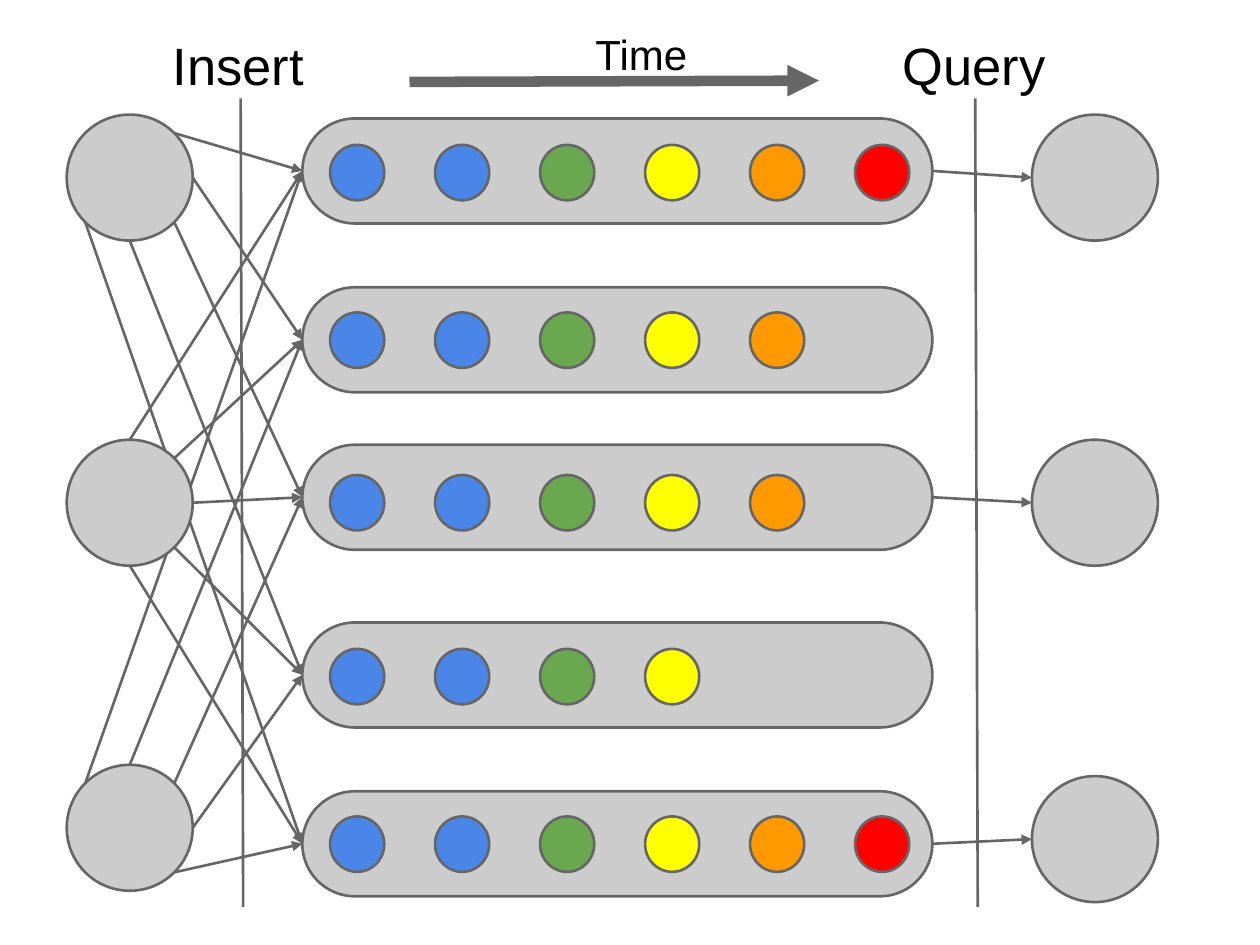
from dataclasses import dataclass
from math import cos, radians, sin

from lxml import etree
from pptx import Presentation
from pptx.dml.color import RGBColor
from pptx.enum.shapes import MSO_CONNECTOR, MSO_SHAPE
from pptx.enum.text import MSO_ANCHOR, MSO_AUTO_SIZE, PP_ALIGN
from pptx.oxml.ns import qn
from pptx.util import Inches, Pt

OVAL = MSO_SHAPE.OVAL
PILL = MSO_SHAPE.ROUNDED_RECTANGLE
STRAIGHT = MSO_CONNECTOR.STRAIGHT
CENTER = PP_ALIGN.CENTER
TOP = MSO_ANCHOR.TOP
GROW = MSO_AUTO_SIZE.SHAPE_TO_FIT_TEXT

WIDTH, HEIGHT = 10, 7.5
COLUMN = WIDTH / 12

QUEUE_LEFT, QUEUE_WIDTH, QUEUE_HEIGHT = 2.4, 6 * COLUMN, COLUMN
QUEUE_TOPS = (0.94, 2.28, 3.53, 4.94, 6.28)
ITEM_TOPS = (1.15, 2.48, 3.77, 5.15, 6.48)
ITEM_COUNTS = (6, 5, 5, 4, 6)
ITEM_LEFT, ITEM_WIDTH, ITEM_HEIGHT = 2.62, 0.43, 0.44

NODE = 1
WRITER_LEFT, WRITER_TOPS = 0.53, (0.91, 3.49, 6.07)
READER_LEFT = 8.19
READERS = ((0, 0.91), (2, 3.49), (4, 6.16))  # queue row, top of the reader


@dataclass(frozen=True)
class Theme:
    """Colours, font and sizes of the slide."""
    outline: str = "666666"
    body: str = "CCCCCC"
    text: str = "000000"
    items: tuple = ("4A86E8", "4A86E8", "6AA84F", "FFFF00", "FF9900", "FF0000")
    font: str = "Arial"
    heading: int = 30
    caption: int = 24
    thin: float = 1.5
    thick: float = 6


THEME = Theme()


def rgb(value):
    """Turn a hex string into a colour."""
    return RGBColor.from_string(value)


def apply_format(target, values):
    """Set each named attribute on the target."""
    for name, value in values.items():
        setattr(target, name, value)


def add_body(slide, kind, left, top, width, height, fill):
    """Draw a filled, outlined preset shape and return it."""
    body = slide.shapes.add_shape(
        kind, Inches(left), Inches(top), Inches(width), Inches(height))
    body.shadow.inherit = False
    body.fill.solid()
    body.fill.fore_color.rgb = rgb(fill)
    body.line.color.rgb = rgb(THEME.outline)
    body.line.width = Pt(THEME.thin)
    return body


def add_line(slide, start, end, weight=THEME.thin, arrow=True):
    """Draw a straight line, with an arrowhead at its end if wanted."""
    line = slide.shapes.add_connector(
        STRAIGHT, *(Inches(value) for value in (*start, *end)))
    line.line.color.rgb = rgb(THEME.outline)
    line.line.width = Pt(weight)
    if arrow:
        etree.SubElement(line.line._get_or_add_ln(), qn("a:tailEnd"), type="triangle")
    etree.SubElement(line._element.spPr, qn("a:effectLst"))


def add_label(slide, text, left, top, size):
    """Write a centred label."""
    label = slide.shapes.add_textbox(
        Inches(left), Inches(top), Inches(0.4 * WIDTH), Inches(0.5))
    frame = label.text_frame
    inset = Inches(0.1)
    apply_format(frame, {
        "word_wrap": True, "auto_size": GROW, "vertical_anchor": TOP,
        "margin_left": inset, "margin_right": inset,
        "margin_top": inset, "margin_bottom": inset})
    paragraph = frame.paragraphs[0]
    paragraph.alignment = CENTER
    run = paragraph.add_run()
    run.text = text
    apply_format(run.font, {"name": THEME.font, "size": Pt(size)})
    run.font.color.rgb = rgb(THEME.text)


def rim_point(left, top, angle):
    """Return the point on a node's rim at an angle in degrees."""
    radius = NODE / 2
    return (left + radius + radius * cos(radians(angle)),
            top + radius - radius * sin(radians(angle)))


def queue_middle(row):
    """Return the height of a queue's centre line."""
    return QUEUE_TOPS[row] + QUEUE_HEIGHT / 2


def add_queues(slide):
    """Draw the queues and the items waiting in them."""
    for queue_top, item_top, count in zip(QUEUE_TOPS, ITEM_TOPS, ITEM_COUNTS):
        queue = add_body(slide, PILL, QUEUE_LEFT, queue_top,
                         QUEUE_WIDTH, QUEUE_HEIGHT, THEME.body)
        queue.adjustments[0] = 0.5
        for column, colour in enumerate(THEME.items[:count]):
            add_body(slide, OVAL, ITEM_LEFT + column * COLUMN, item_top,
                     ITEM_WIDTH, ITEM_HEIGHT, colour)


def add_writers(slide):
    """Link every writer to every queue, fanning out round its rim."""
    for index, top in enumerate(WRITER_TOPS):
        for row in range(len(QUEUE_TOPS)):
            angle = 45 * (index + 1 - row)
            add_line(slide, rim_point(WRITER_LEFT, top, angle),
                     (QUEUE_LEFT, queue_middle(row)))
    for top in WRITER_TOPS:
        add_body(slide, OVAL, WRITER_LEFT, top, NODE, NODE, THEME.body)


def add_readers(slide):
    """Draw the readers, each fed by one queue."""
    for row, top in READERS:
        add_body(slide, OVAL, READER_LEFT, top, NODE, NODE, THEME.body)
        add_line(slide, (QUEUE_LEFT + QUEUE_WIDTH, queue_middle(row)),
                 rim_point(READER_LEFT, top, 180))


def add_stages(slide):
    """Draw the stage dividers, their headings and the time arrow."""
    for text, divider, left in (("Insert", 1.91, -0.11), ("Query", 7.74, 5.73)):
        add_line(slide, (divider, 0.78), (divider + 0.02, 7.2), arrow=False)
        add_label(slide, text, left, 0.16, THEME.heading)
    add_line(slide, (3.25, 0.65), (6.5, 0.64), THEME.thick)
    add_label(slide, "Time", 3.09, 0.13, THEME.caption)


def main():
    """Build and save the slide."""
    deck = Presentation()
    apply_format(deck, {"slide_width": Inches(WIDTH), "slide_height": Inches(HEIGHT)})
    slide = deck.slides.add_slide(deck.slide_layouts[6])
    add_queues(slide)
    add_stages(slide)
    add_writers(slide)
    add_readers(slide)
    deck.save("out.pptx")


main()
